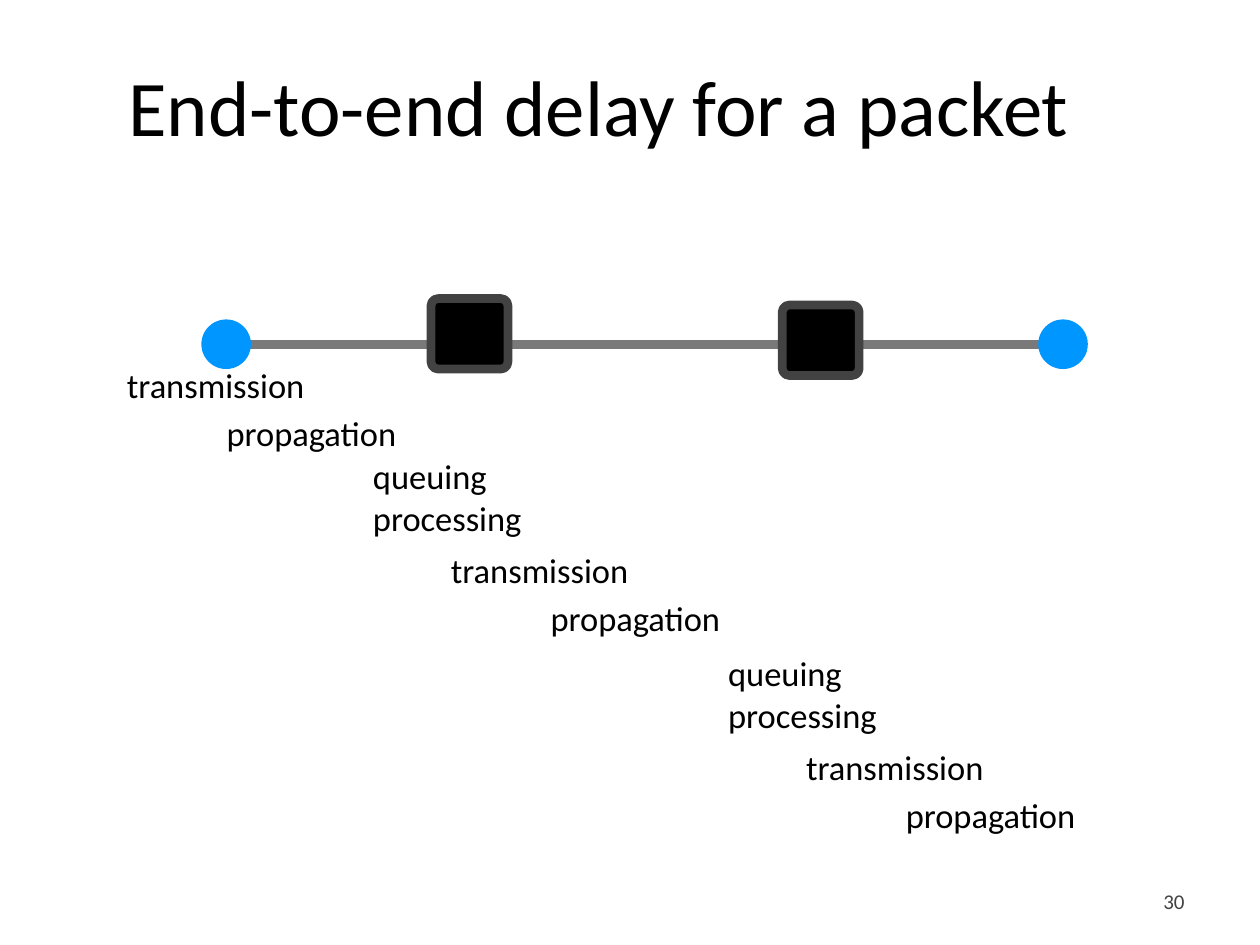
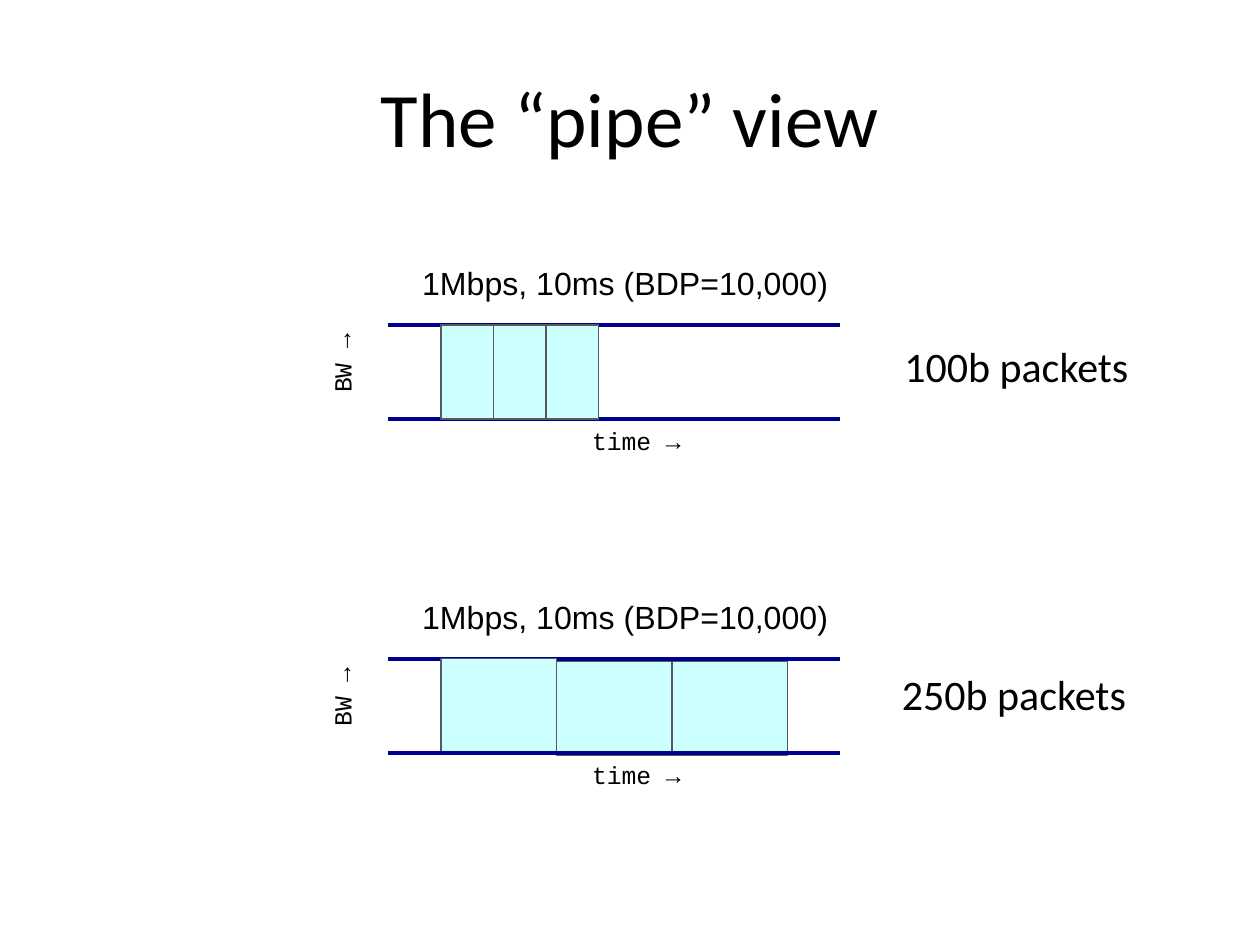
"""Build two slides on packet delay and the pipe view of a link."""
from dataclasses import dataclass

from lxml import etree
from pptx import Presentation
from pptx.dml.color import RGBColor
from pptx.enum.shapes import MSO_CONNECTOR, MSO_SHAPE
from pptx.enum.text import MSO_ANCHOR, PP_ALIGN
from pptx.oxml.ns import qn
from pptx.shapes.autoshape import Shape
from pptx.slide import Slide
from pptx.util import Cm, Pt

STRAIGHT = MSO_CONNECTOR.STRAIGHT
OVAL, RECTANGLE, ROUNDED = MSO_SHAPE.OVAL, MSO_SHAPE.RECTANGLE, MSO_SHAPE.ROUNDED_RECTANGLE
TOP, MIDDLE = MSO_ANCHOR.TOP, MSO_ANCHOR.MIDDLE
LEFT, CENTER, RIGHT = PP_ALIGN.LEFT, PP_ALIGN.CENTER, PP_ALIGN.RIGHT


@dataclass(frozen=True)
class TextStyle:
    """Type, alignment and margins of one kind of text."""
    font: str
    size: float
    color: str = "000000"
    align: PP_ALIGN = LEFT
    anchor: MSO_ANCHOR = TOP
    margin_x: float = 0.25
    margin_y: float = 0.13
    spacing: float = 1.0


@dataclass(frozen=True)
class Theme:
    """Colours and text styles shared by the slides."""
    link: str = "797979"
    host: str = "0096FF"
    router: str = "000000"
    router_edge: str = "424242"
    pipe: str = "000090"
    packet: str = "CCFFFF"
    packet_edge: str = "595959"
    left_title: TextStyle = TextStyle("Calibri", 45, anchor=MIDDLE, margin_x=0.1, margin_y=0.1)
    title: TextStyle = TextStyle("Calibri", 44, align=CENTER, anchor=MIDDLE)
    delay: TextStyle = TextStyle("Calibri", 19.7, anchor=MIDDLE, margin_x=0.1, margin_y=0.1)
    page: TextStyle = TextStyle("Calibri", 12, "424242", RIGHT, MIDDLE)
    caption: TextStyle = TextStyle("Arial", 18.3, spacing=1.2)
    axis: TextStyle = TextStyle("Courier New", 14.1, align=RIGHT)
    packet_size: TextStyle = TextStyle("Calibri", 24)


@dataclass(frozen=True)
class Box:
    """A rectangle in centimetres."""
    left: float
    top: float
    width: float
    height: float


@dataclass(frozen=True)
class Hop:
    """One sender, given by where its transmission label starts."""
    left: float
    top: float
    queues: bool


@dataclass(frozen=True)
class Pipe:
    """A link drawn as a pipe with packets inside."""
    top: float
    packet_width: float
    packet_drops: tuple[float, ...]
    floor_in_front: bool
    size_text: str
    size_left: float
    size_drop: float


THEME = Theme()
LINK_Y = 6.94
HOST_SIZE = 1.0
HOST_CENTERS = (4.56, 21.43)
ROUTERS = (Box(8.69, 6.02, 1.55, 1.42), Box(15.77, 6.15, 1.55, 1.42))
HOPS = (Hop(2.46, 7.24, False), Hop(8.99, 10.97, True), Hop(16.15, 14.94, True))
QUEUE_DELAYS = (("queuing", -1.57, -1.9), ("processing", -1.57, -1.06))
SEND_DELAYS = (("transmission", 0, 0), ("propagation", 2.01, 0.97))
PIPE_LEFT, PIPE_RIGHT, PIPE_HEIGHT = 7.82, 16.94, 1.9
FIRST_PACKET_LEFT = 8.89
PIPES = (
    Pipe(6.55, 1.06, (0, 0, 0), False, "100b packets", 17.98, 0.18),
    Pipe(13.28, 2.33, (0, 0.05, 0.05), True, "250b packets", 17.93, 0.06),
)


def add_text(slide: Slide, text: str, box: Box, style: TextStyle) -> Shape:
    """Add a one-paragraph text box."""
    shape = slide.shapes.add_textbox(Cm(box.left), Cm(box.top), Cm(box.width), Cm(box.height))
    frame = shape.text_frame
    frame.word_wrap = True
    frame.vertical_anchor = style.anchor
    frame.margin_left = frame.margin_right = Cm(style.margin_x)
    frame.margin_top = frame.margin_bottom = Cm(style.margin_y)
    paragraph = frame.paragraphs[0]
    paragraph.text = text
    paragraph.alignment = style.align
    paragraph.line_spacing = style.spacing
    paragraph.font.name = style.font
    paragraph.font.size = Pt(style.size)
    paragraph.font.color.rgb = RGBColor.from_string(style.color)
    return shape


def add_block(slide: Slide, kind: MSO_SHAPE, box: Box, fill: str,
              edge: str = "", edge_width: float = 0) -> Shape:
    """Add a filled shape, outlined when an edge colour is given."""
    shape = slide.shapes.add_shape(
        kind, Cm(box.left), Cm(box.top), Cm(box.width), Cm(box.height))
    shape.shadow.inherit = False
    shape.fill.solid()
    shape.fill.fore_color.rgb = RGBColor.from_string(fill)
    if edge:
        shape.line.color.rgb = RGBColor.from_string(edge)
        shape.line.width = Pt(edge_width)
    else:
        shape.line.fill.background()
    return shape


def add_level_line(slide: Slide, left: float, right: float, y: float,
                   color: str, width: float) -> None:
    """Add a horizontal line without a shadow."""
    connector = slide.shapes.add_connector(STRAIGHT, Cm(left), Cm(y), Cm(right), Cm(y))
    connector.line.color.rgb = RGBColor.from_string(color)
    connector.line.width = Pt(width)
    etree.SubElement(connector._element.spPr, qn("a:effectLst"))


def add_hop_delays(slide: Slide, hop: Hop) -> None:
    """Add the stepped delay labels of one hop."""
    delays = (QUEUE_DELAYS if hop.queues else ()) + SEND_DELAYS
    for name, shift, drop in delays:
        add_text(slide, name, Box(hop.left + shift, hop.top + drop, 4.24, 1.04), THEME.delay)


def add_pipe(slide: Slide, pipe: Pipe) -> None:
    """Add a pipe with its packets, axes and captions."""
    floor = pipe.top + PIPE_HEIGHT

    def add_wall(y: float) -> None:
        """Add one long side of the pipe."""
        add_level_line(slide, PIPE_LEFT, PIPE_RIGHT, y, THEME.pipe, 2.25)

    add_wall(pipe.top)
    if not pipe.floor_in_front:
        add_wall(floor)
    for index, drop in enumerate(pipe.packet_drops):
        left = FIRST_PACKET_LEFT + index * pipe.packet_width
        add_block(slide, RECTANGLE, Box(left, pipe.top + drop, pipe.packet_width, PIPE_HEIGHT),
                  THEME.packet, THEME.packet_edge, 0.75)
    if pipe.floor_in_front:
        add_wall(floor)
    add_text(slide, "1Mbps, 10ms (BDP=10,000)", Box(8.26, pipe.top - 1.53, 9.14, 1.19),
             THEME.caption)
    add_text(slide, "time →", Box(11.48, floor, 2.49, 0.86), THEME.axis)
    bandwidth = add_text(slide, "BW →", Box(5.94, pipe.top + 0.45, 1.9, 0.86), THEME.axis)
    bandwidth.rotation = 270
    add_text(slide, pipe.size_text, Box(pipe.size_left, pipe.top + pipe.size_drop, 6.1, 1.27),
             THEME.packet_size)


def build_delay_slide(slide: Slide) -> None:
    """Show the delays a packet meets from host to host."""
    add_text(slide, "End-to-end delay for a packet", Box(2.49, 0, 20.45, 4.22), THEME.left_title)
    add_level_line(slide, *HOST_CENTERS, LINK_Y, THEME.link, 5)
    for center in HOST_CENTERS:
        box = Box(center - HOST_SIZE / 2, LINK_Y - HOST_SIZE / 2, HOST_SIZE, HOST_SIZE)
        add_block(slide, OVAL, box, THEME.host)
    for box in ROUTERS:
        router = add_block(slide, ROUNDED, box, THEME.router, THEME.router_edge, 5)
        router.adjustments[0] = 0.1
    for hop in HOPS:
        add_hop_delays(slide, hop)
    add_text(slide, "30", Box(18.21, 17.65, 5.92, 1.02), THEME.page)


def build_pipe_slide(slide: Slide) -> None:
    """Compare small and large packets in the same pipe."""
    add_text(slide, "The “pipe” view", Box(1.27, 0.76, 22.86, 3.18), THEME.title)
    for pipe in PIPES:
        add_pipe(slide, pipe)


def main() -> None:
    """Build and save the presentation."""
    presentation = Presentation()
    presentation.slide_width = Cm(25.4)
    presentation.slide_height = Cm(19.05)
    blank_layout = presentation.slide_layouts[6]
    for build in (build_delay_slide, build_pipe_slide):
        build(presentation.slides.add_slide(blank_layout))
    presentation.save("out.pptx")


if __name__ == "__main__":
    main()
